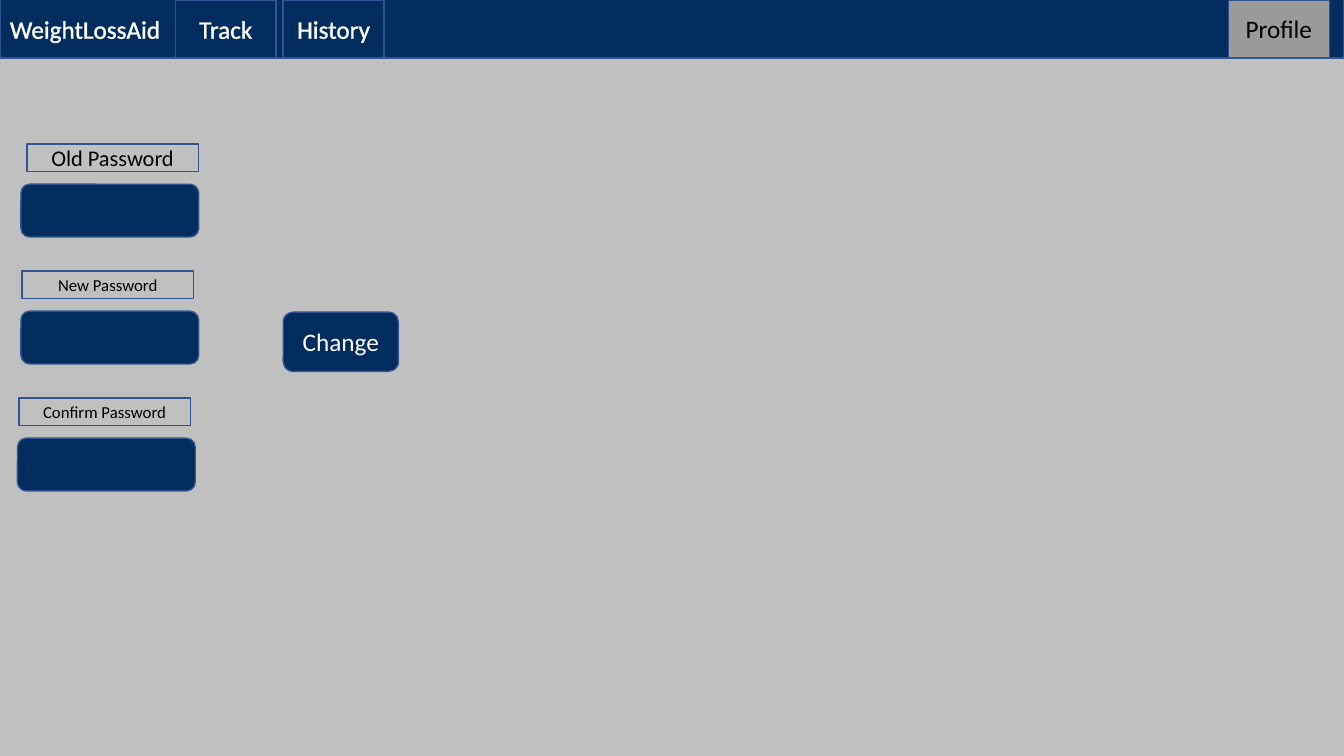
from lxml.etree import SubElement
from pptx import Presentation
from pptx.dml.color import RGBColor
from pptx.enum.shapes import MSO_SHAPE
from pptx.enum.text import MSO_ANCHOR, PP_ALIGN
from pptx.oxml.ns import qn
from pptx.util import Pt

NAVY = RGBColor(0x00, 0x2C, 0x5E)
BLUE = RGBColor(0x32, 0x54, 0x91)
SILVER = RGBColor(0xC0, 0xC0, 0xC0)
GRAY = RGBColor(0x9A, 0x9A, 0x9A)
PALE = RGBColor(0xF2, 0xF2, 0xF2)
WHITE = RGBColor(0xFF, 0xFF, 0xFF)
BLACK = RGBColor(0x00, 0x00, 0x00)


class Screen:
    font_name = "Calibri"

    def __init__(self, deck):
        self.page = deck.slides.add_slide(deck.slide_layouts[6])
        fill = self.page.background.fill
        fill.solid()
        fill.fore_color.rgb = SILVER

    def box(self, kind, left, top, width, height, fill=None):
        box = self.page.shapes.add_shape(kind, Pt(left), Pt(top), Pt(width), Pt(height))
        box.shadow.inherit = False
        if fill is None:
            box.fill.background()
        else:
            box.fill.solid()
            box.fill.fore_color.rgb = fill
        box.line.color.rgb = BLUE
        box.line.width = Pt(1)
        return box

    def caption(self, box, text, color, size=18, align=PP_ALIGN.CENTER):
        frame = box.text_frame
        frame.word_wrap = True
        frame.vertical_anchor = MSO_ANCHOR.MIDDLE
        para = frame.paragraphs[0]
        para.alignment = align
        span = para.add_run()
        span.text = text
        span.font.color.rgb = color
        for name, value in {"name": self.font_name, "size": Pt(size)}.items():
            setattr(span.font, name, value)
        return span

    def outline(self, span, color, width):
        properties = span.font._element
        line = SubElement(properties, qn("a:ln"), w=str(Pt(width)))
        fill = SubElement(line, qn("a:solidFill"))
        SubElement(fill, qn("a:srgbClr"), val=str(color))
        properties.insert(0, line)

    def bar(self, title):
        bar = self.box(MSO_SHAPE.RECTANGLE, 0, -0.5, 960, 42, NAVY)
        self.outline(self.caption(bar, title, WHITE, align=PP_ALIGN.LEFT), PALE, 0)

    def tab(self, text, left, color=WHITE, edge=PALE, fill=None):
        tab = self.box(MSO_SHAPE.RECTANGLE, left, 0, 72, 41, fill)
        self.outline(self.caption(tab, text, color), edge, 0.75)

    def field(self, text, top, label_left, input_left, size):
        label = self.box(MSO_SHAPE.RECTANGLE, label_left, top, 122.5, 19.5)
        self.caption(label, text, BLACK, size)
        self.box(MSO_SHAPE.ROUNDED_RECTANGLE, input_left, top + 28.6, 127, 37.7, NAVY)

    def button(self, text, left, top):
        button = self.box(MSO_SHAPE.ROUNDED_RECTANGLE, left, top, 82.3, 42.3, NAVY)
        self.caption(button, text, WHITE)


deck = Presentation()
deck.slide_width, deck.slide_height = Pt(960), Pt(540)
screen = Screen(deck)

screen.bar("WeightLossAid")
screen.tab("Track", 125.3)
screen.tab("History", 202.3)
screen.tab("Profile", 877.5, BLACK, BLACK, GRAY)

fields = [
    ("Old Password", 19.2, 15, 16),
    ("New Password", 15.8, 15, 12),
    ("Confirm Password", 13.5, 12.5, 12),
]
for row, (text, label_left, input_left, size) in enumerate(fields):
    screen.field(text, 103 + row * 90.7, label_left, input_left, size)

screen.button("Change", 202.3, 223)

deck.save("out.pptx")
